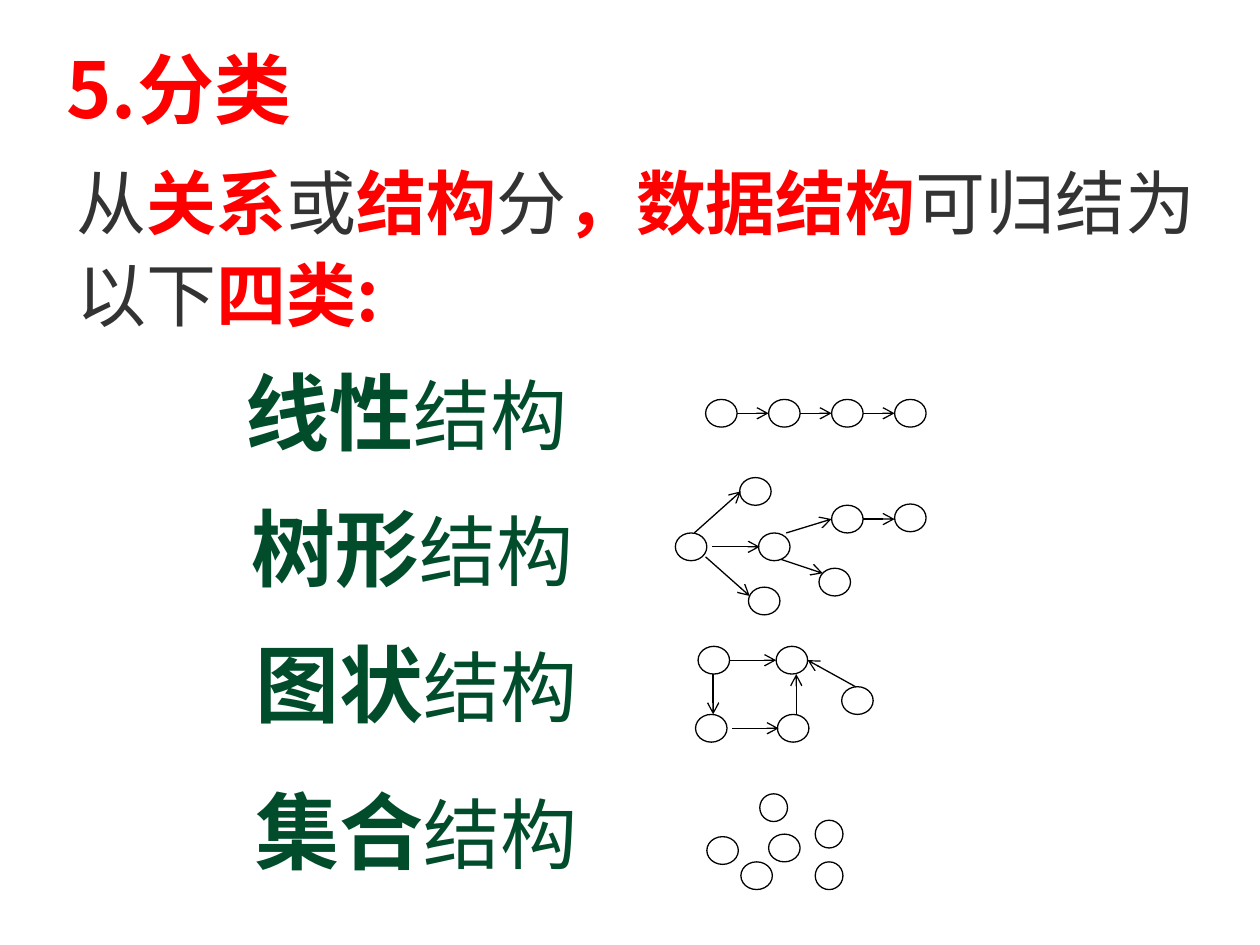
from dataclasses import dataclass

from lxml import etree
from pptx import Presentation
from pptx.dml.color import RGBColor
from pptx.enum.shapes import MSO_CONNECTOR, MSO_SHAPE
from pptx.enum.text import MSO_AUTO_SIZE
from pptx.oxml.ns import qn
from pptx.util import Inches, Pt

ELLIPSE = MSO_SHAPE.OVAL
STRAIGHT = MSO_CONNECTOR.STRAIGHT
GROW = MSO_AUTO_SIZE.SHAPE_TO_FIT_TEXT

RED = RGBColor(0xFF, 0x00, 0x00)
GRAY = RGBColor(0x33, 0x33, 0x33)
GREEN = RGBColor(0x00, 0x4C, 0x2B)
BLACK = RGBColor(0x00, 0x00, 0x00)
WHITE = RGBColor(0xFF, 0xFF, 0xFF)

FONT = "Noto Sans CJK SC"
COLUMNS, ROWS = 100, 75  # square grid over the slide
CELL = Inches(10) // COLUMNS
NODE_W, NODE_H = 2.5, 2.2
LINE_WIDTH = Pt(0.75)


@dataclass(frozen=True)
class Run:
    text: str
    size: int
    color: RGBColor
    bold: bool = False


@dataclass(frozen=True)
class Node:
    left: float
    top: float
    width: float = NODE_W


@dataclass(frozen=True)
class Edge:
    x1: float
    y1: float
    x2: float
    y2: float


@dataclass(frozen=True)
class Structure:
    name: str
    left: float
    top: float
    nodes: list[Node]
    edges: list[Edge]


def grid(*cells: float) -> list[int]:
    return [round(c * CELL) for c in cells]


def add_text(s, box: tuple, runs: list[Run], wrap: bool = True, spacing: float = 1.0) -> None:
    tf = s.shapes.add_textbox(*grid(*box)).text_frame
    tf.word_wrap = wrap
    tf.auto_size = GROW
    p = tf.paragraphs[0]
    p.line_spacing = spacing
    for run in runs:
        r = p.add_run()
        r.text = run.text
        r.font.size = Pt(run.size)
        r.font.bold = run.bold
        r.font.color.rgb = run.color
        r.font.name = FONT
        etree.SubElement(r.font._element, qn("a:ea"), typeface=FONT)


def add_node(group, node: Node) -> None:
    sp = group.shapes.add_shape(ELLIPSE, *grid(node.left, node.top, node.width, NODE_H))
    sp.shadow.inherit = False
    sp.fill.solid()
    sp.fill.fore_color.rgb = WHITE
    sp.line.color.rgb = BLACK
    sp.line.width = LINE_WIDTH


def add_arrow(group, edge: Edge) -> None:
    line = group.shapes.add_connector(STRAIGHT, *grid(edge.x1, edge.y1, edge.x2, edge.y2))
    line.line.color.rgb = BLACK
    line.line.width = LINE_WIDTH
    etree.SubElement(line.line._get_or_add_ln(), qn("a:tailEnd"), type="arrow")
    etree.SubElement(line._element.spPr, qn("a:effectLst"))


def add_structure(s, structure: Structure) -> None:
    runs = [Run(structure.name, 48, GREEN, True), Run("结构", 44, GREEN)]
    add_text(s, (structure.left, structure.top, 27.6, 9), runs, wrap=False)
    group = s.shapes.add_group_shape()
    for node in structure.nodes:
        add_node(group, node)
    for edge in structure.edges:
        add_arrow(group, edge)


# The chain has four nodes at an equal pitch of two node widths
CHAIN = [56 + 2 * NODE_W * i for i in range(4)]

STRUCTURES = [
    Structure(
        "线性", 18.5, 28.1,
        [Node(x, 31.7) for x in CHAIN],
        [Edge(x + NODE_W, 32.8, x + 2 * NODE_W, 32.8) for x in CHAIN[:-1]],
    ),
    Structure(
        "树形", 19, 38.9,
        [Node(53.6, 42.3), Node(58.7, 37.9), Node(60.2, 42.3), Node(59.4, 46.6),
         Node(66, 40.1), Node(65, 45.1), Node(71, 40)],
        [Edge(56.5, 43.4, 60.3, 43.4), Edge(55.1, 42.3, 58.8, 39),
         Edge(56, 44.2, 59.5, 47.3), Edge(62.4, 42.3, 66, 41.2),
         Edge(62, 44.4, 65.3, 45.5), Edge(68.5, 41.2, 71, 41.2)],
    ),
    Structure(
        "图状", 19.3, 49.7,
        [Node(55.2, 56.7), Node(55.4, 51.3), Node(61.7, 56.7), Node(61.6, 51.3),
         Node(66.8, 54.5)],
        [Edge(58.1, 57.8, 61.8, 57.8), Edge(57.9, 52.4, 61.6, 52.4),
         Edge(56.6, 53.5, 56.6, 56.7), Edge(63.2, 56.7, 63.2, 53.5),
         Edge(67.9, 54.5, 64.1, 52.4)],
    ),
    Structure(
        "集合", 19.3, 61.4,
        [Node(61, 66.2), Node(58.8, 68.4), Node(56.1, 66.4),
         Node(64.7, 68.4, NODE_H), Node(64.7, 65.1, NODE_H), Node(60.3, 63, NODE_H)],
        [],
    ),
]

INTRO = [
    Run("从", 40, GRAY),
    Run("关系", 40, RED, True),
    Run("或", 40, GRAY),
    Run("结构", 40, RED, True),
    Run("分", 40, GRAY),
    Run("，数据结构", 40, RED, True),
    Run("可归结为以下", 40, GRAY),
    Run("四类:", 40, RED, True),
]


def main() -> None:
    prs = Presentation()
    prs.slide_width, prs.slide_height = COLUMNS * CELL, ROWS * CELL
    s = prs.slides.add_slide(prs.slide_layouts[6])

    # Introduction
    add_text(s, (5.1, 11.5, 91, 15.7), INTRO, spacing=1.1)
    # Four kinds of structure, each with its diagram
    for structure in STRUCTURES:
        add_structure(s, structure)
    # Heading
    add_text(s, (4.3, 2.8, 37, 8.3), [Run("5.分类", 44, RED, True)])

    prs.save("out.pptx")


if __name__ == "__main__":
    main()
